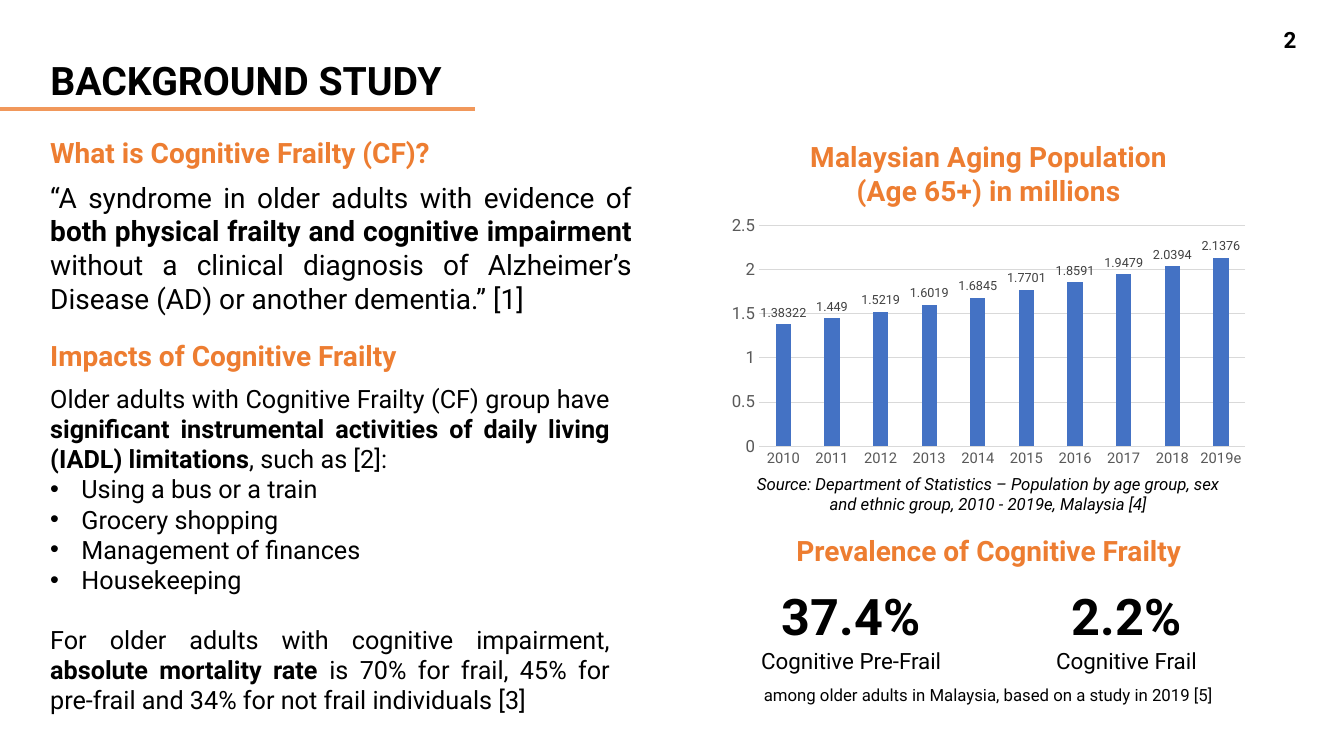
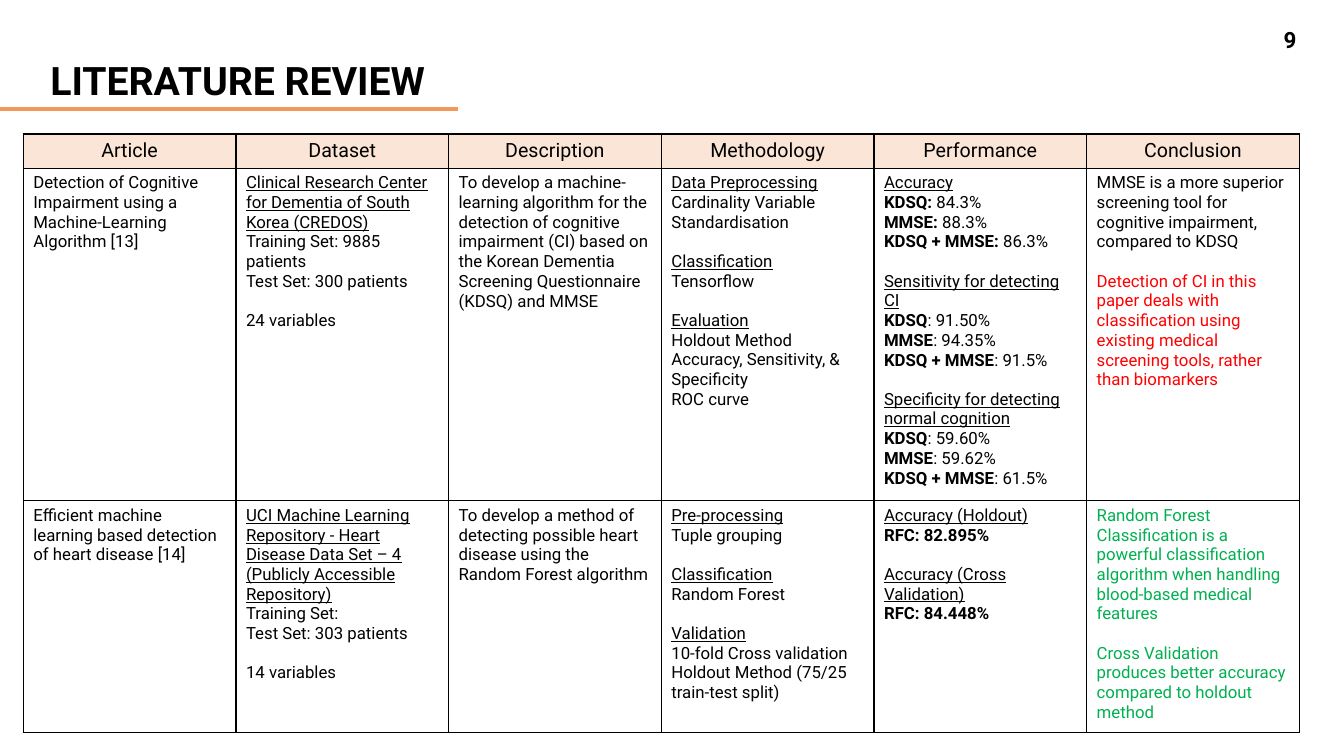
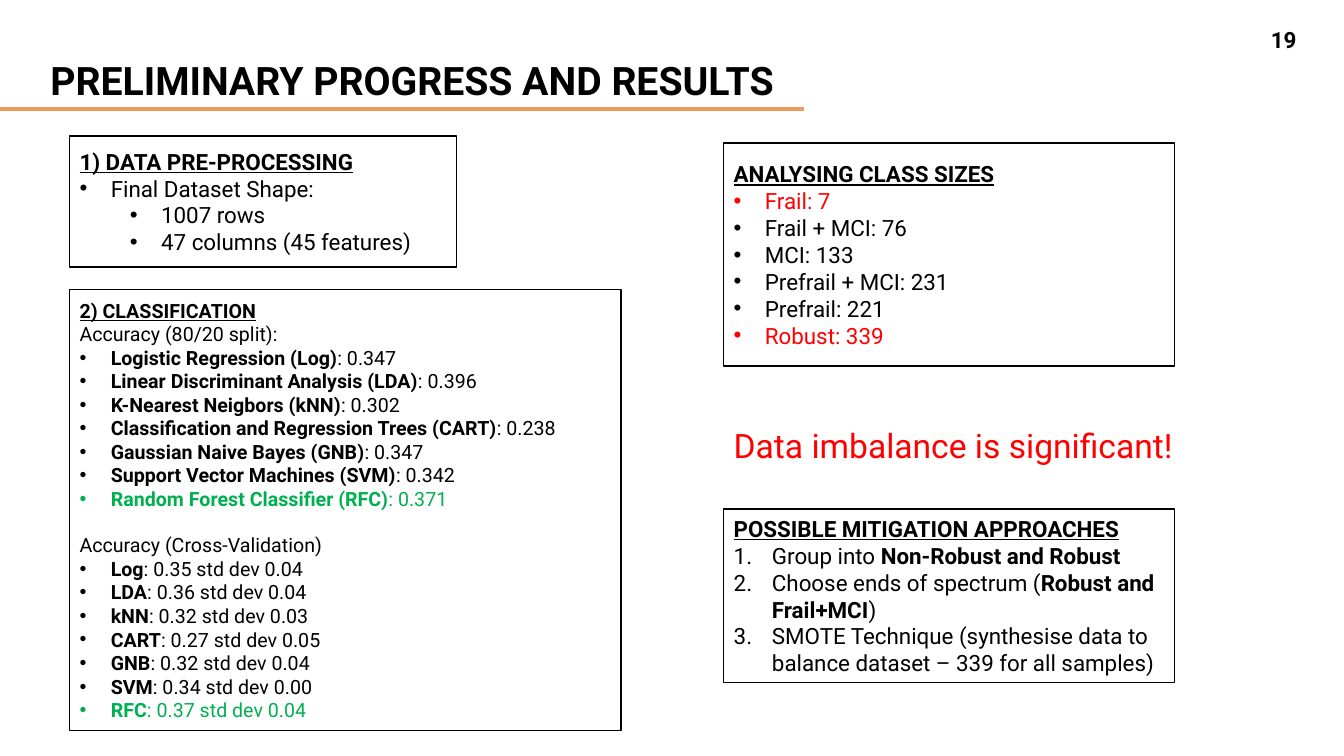
"""Build three slides of a study on cognitive frailty."""
from dataclasses import dataclass

from lxml import etree
from pptx import Presentation
from pptx import util as u
from pptx.chart import data as cd
from pptx.dml import color
from pptx.enum import chart as ch, shapes, text
from pptx.oxml import ns

WIDE, HIGH = u.Inches(13.333), u.Inches(7.5)
FACE = "Roboto"
BLACK, RED, GREEN = "000000", "FF0000", "00B050"
ORANGE, RULE, PEACH = "ED7D31", "F1985B", "FBE5D6"
BLUE, GREY, DARK, PALE = "4472C4", "595959", "404040", "D9D9D9"
LEAD = 1.17
LEFT, MID, RIGHT, JUST = (
    text.PP_ALIGN.LEFT, text.PP_ALIGN.CENTER, text.PP_ALIGN.RIGHT, text.PP_ALIGN.JUSTIFY)


@dataclass(frozen=True)
class Para:
    """A paragraph; asterisks switch bold on and off."""
    text: str
    hue: str = BLACK
    mark: str = ""
    level: int = 0
    under: bool = False
    gap: bool = False


@dataclass(frozen=True)
class Area:
    """A place given in percent of the slide's width and height."""
    x: float
    y: float
    w: float
    h: float

    def box(self) -> tuple:
        """Return left, top, width and height as lengths."""
        return across(self.x), down(self.y), across(self.w), down(self.h)


@dataclass(frozen=True)
class Label:
    """A text box with one style."""
    area: Area
    paras: list
    size: float
    align: int = LEFT
    slant: bool = False


@dataclass(frozen=True)
class Panel:
    """A framed list."""
    area: Area
    paras: list
    size: float


def across(share: float) -> int:
    """Turn a percentage of the width into a length."""
    return u.Emu(round(WIDE * share / 100))


def down(share: float) -> int:
    """Turn a percentage of the height into a length."""
    return u.Emu(round(HIGH * share / 100))


def rgb(code: str) -> color.RGBColor:
    """Turn a hex string into a colour."""
    return color.RGBColor.from_string(code)


def dot(words: str, hue: str = BLACK, level: int = 0) -> Para:
    """Make a bulleted paragraph."""
    return Para(words, hue, "•", level)


def step(words: str) -> Para:
    """Make a numbered paragraph."""
    return Para(words, mark="1.")


def head(words: str, gap: bool = False) -> Para:
    """Make an underlined paragraph."""
    return Para(words, under=True, gap=gap)


def style(font, size: float, hue: str) -> None:
    """Set face, size and colour."""
    font.name, font.size = FACE, u.Pt(size)
    font.color.rgb = rgb(hue)


def bullet(par, item: Para) -> None:
    """Give a paragraph its bullet or number and its indent."""
    props = par._p.get_or_add_pPr()
    hang = u.Inches(0.31 if item.mark == "•" else 0.38)
    props.set("marL", str(hang + item.level * u.Inches(0.5)))
    props.set("indent", str(-hang))
    if item.mark == "•":
        etree.SubElement(props, ns.qn("a:buFont")).set("typeface", "Arial")
        etree.SubElement(props, ns.qn("a:buChar")).set("char", item.mark)
    else:
        etree.SubElement(props, ns.qn("a:buAutoNum")).set("type", "arabicPeriod")


def write(frame, paras: list, size: float, align: int = LEFT, slant: bool = False) -> None:
    """Fill a text frame with paragraphs."""
    frame.word_wrap = True
    for n, item in enumerate(paras):
        par = frame.paragraphs[0] if n == 0 else frame.add_paragraph()
        par.alignment, par.level = align, item.level
        if item.gap:
            par.space_before = u.Pt(round(size * LEAD, 1))
        if item.mark:
            bullet(par, item)
        style(par.font, size, item.hue)
        if slant:
            par.font.italic = True
        if item.under:
            par.font.underline = True
        parts = [(i % 2 == 1, part) for i, part in enumerate(item.text.split("*")) if part]
        for bold, part in parts:
            run = par.add_run()
            run.text = part
            if bold:
                (par if len(parts) == 1 else run).font.bold = True


def label(slide, item: Label) -> None:
    """Draw a text box."""
    frame = slide.shapes.add_textbox(*item.area.box()).text_frame
    write(frame, item.paras, item.size, item.align, item.slant)


def panel(slide, item: Panel) -> None:
    """Draw a framed list."""
    shape = slide.shapes.add_shape(shapes.MSO_SHAPE.RECTANGLE, *item.area.box())
    shape.shadow.inherit = False
    shape.fill.background()
    shape.line.color.rgb = rgb(BLACK)
    shape.line.width = u.Pt(1)
    shape.text_frame.vertical_anchor = text.MSO_ANCHOR.MIDDLE
    write(shape.text_frame, item.paras, item.size)


def start(deck, name: str, page: str, wide: float, rule: float):
    """Add a slide with its title, rule and page number."""
    slide = deck.slides.add_slide(deck.slide_layouts[5])
    title = slide.shapes.title
    title.left, title.top, title.width, title.height = Area(3, 6.8, wide, 7.6).box()
    title.text_frame.auto_size = text.MSO_AUTO_SIZE.NONE
    title.text_frame.vertical_anchor = text.MSO_ANCHOR.TOP
    write(title.text_frame, [Para(f"*{name}*")], 28)
    line = slide.shapes.add_connector(
        shapes.MSO_CONNECTOR.STRAIGHT, 0, down(14.4), across(rule), down(14.4))
    line.line.color.rgb = rgb(RULE)
    line.line.width = u.Pt(3)
    etree.SubElement(line._element.spPr, ns.qn("a:effectLst"))
    label(slide, Label(Area(74.7, 2.8, 22.5, 5.33), [Para(f"*{page}*")], 16, RIGHT))
    return slide


def layout(node, **spots: float) -> None:
    """Fix the place of a chart part by shares of the chart."""
    for old in node.findall(ns.qn("c:layout")):
        node.remove(old)
    lay = etree.Element(ns.qn("c:layout"))
    hand = etree.SubElement(lay, ns.qn("c:manualLayout"))
    modes = {"xMode": "edge", "yMode": "edge"}
    if "w" in spots:
        modes = {"layoutTarget": "inner", **modes}
    for key, val in {**modes, **spots}.items():
        etree.SubElement(hand, ns.qn(f"c:{key}")).set("val", str(val))
    words = node.find(ns.qn("c:tx"))
    node.insert(0 if words is None else 1, lay)


def graph(slide, area: Area) -> None:
    """Draw the population chart."""
    data = cd.CategoryChartData()
    data.categories = [str(year) for year in range(2010, 2019)] + ["2019e"]
    data.add_series("Series 1", [1.38322, 1.449, 1.5219, 1.6019, 1.6845,
                                 1.7701, 1.8591, 1.9479, 2.0394, 2.1376])
    chart = slide.shapes.add_chart(
        ch.XL_CHART_TYPE.COLUMN_CLUSTERED, *area.box(), data).chart
    style(chart.font, 10, BLACK)
    chart.has_legend = False
    chart.has_title = True
    write(chart.chart_title.text_frame,
          [Para("*Malaysian Aging Population*", ORANGE),
           Para("*(Age 65+) in millions*", ORANGE)], 20, MID)
    chart.chart_title.include_in_layout = False
    layout(chart.chart_title._element, x=0.16, y=0.05)
    layout(chart._chartSpace.chart.plotArea, x=0.07, y=0.3, w=0.91, h=0.62)
    plot = chart.plots[0]
    plot.gap_width, plot.overlap = 219, -27
    plot.vary_by_categories = False
    fill = plot.series[0].format.fill
    fill.solid()
    fill.fore_color.rgb = rgb(BLUE)
    plot.has_data_labels = True
    tags = plot.data_labels
    tags.show_value = True
    tags.number_format, tags.number_format_is_linked = "General", False
    tags.position = ch.XL_LABEL_POSITION.OUTSIDE_END
    style(tags.font, 9, DARK)
    cats, vals = chart.category_axis, chart.value_axis
    for axis, size in ((cats, 10.5), (vals, 12)):
        axis.major_tick_mark = axis.minor_tick_mark = ch.XL_TICK_MARK.NONE
        style(axis.tick_labels.font, size, GREY)
    vals.minimum_scale, vals.maximum_scale, vals.major_unit = 0, 2.5, 0.5
    vals.tick_labels.number_format = "General"
    vals.tick_labels.number_format_is_linked = False
    vals.format.line.fill.background()
    for line in (cats.format.line, vals.major_gridlines.format.line):
        line.color.rgb = rgb(PALE)
        line.width = u.Pt(0.75)


def border(cell) -> None:
    """Put a thin black line on each side of a cell."""
    props = cell._tc.get_or_add_tcPr()
    for side in "LRTB":
        line = etree.SubElement(props, ns.qn(f"a:ln{side}"), w=str(u.Pt(1)))
        fill = etree.SubElement(line, ns.qn("a:solidFill"))
        etree.SubElement(fill, ns.qn("a:srgbClr"), val=BLACK)


def grid(slide, area: Area, rows: list, highs: list) -> None:
    """Draw the review table with a tinted first row."""
    count = len(rows[0])
    table = slide.shapes.add_table(len(rows), count, *area.box()).table
    for col in table.columns:
        col.width = across(area.w / count)
    for n, (row, high) in enumerate(zip(rows, highs)):
        table.rows[n].height = down(high)
        for k, paras in enumerate(row):
            cell = table.cell(n, k)
            border(cell)
            if n == 0:
                cell.fill.solid()
                cell.fill.fore_color.rgb = rgb(PEACH)
                write(cell.text_frame, paras, 14, MID)
            else:
                cell.fill.background()
                write(cell.text_frame, paras, 12)


def scores(topic: str, sep: str, vals: list, gap: bool = False) -> list:
    """List one measure for each screening tool."""
    tools = ("KDSQ", "MMSE", "KDSQ + MMSE")
    ends = ":* " if sep == "bold" else "*: "
    return [head(topic, gap)] + [Para(f"*{t}{ends}{v}%") for t, v in zip(tools, vals)]


def models(pairs: list) -> list:
    """List models with their results, the last one in green."""
    last = len(pairs) - 1
    return [dot(f"*{name}*: {val}", GREEN if n == last else BLACK)
            for n, (name, val) in enumerate(pairs)]


def study(deck) -> None:
    """Build the background slide."""
    slide = start(deck, "BACKGROUND STUDY", "2", 32.33, 35.33)
    heads = (
        (Area(3, 17.33, 76.1, 5.87), "What is Cognitive Frailty (CF)?", LEFT),
        (Area(3, 44.13, 28, 5.87), "Impacts of Cognitive Frailty", LEFT),
        (Area(58.2, 69.87, 30.75, 5.87), "Prevalence of Cognitive Frailty", MID))
    for area, words, align in heads:
        label(slide, Label(area, [Para(f"*{words}*", ORANGE)], 20, align))
    graph(slide, Area(53.7, 15.73, 39.75, 47.07))
    tasks = ("Using a bus or a train", "Grocery shopping",
             "Management of finances", "Housekeeping")
    notes = [
        Label(Area(3, 23.2, 44.78, 19.33), [Para(
            "“A syndrome in older adults with evidence of *both physical frailty and "
            "cognitive impairment* without a clinical diagnosis of Alzheimer’s Disease "
            "(AD) or another dementia.” [1]")], 20, JUST),
        Label(Area(3, 50, 43.13, 45.73), [
            Para("Older adults with Cognitive Frailty (CF) group have *significant "
                 "instrumental activities of daily living (IADL) limitations*, such as [2]:"),
            *map(dot, tasks),
            Para("For older adults with cognitive impairment, *absolute mortality rate *"
                 "is 70% for frail, 45% for pre-frail and 34% for not frail individuals [3]",
                 gap=True)], 18, JUST),
        Label(Area(54.9, 62, 37.28, 6.67), [Para(
            "Source: Department of Statistics – Population by age group, sex and ethnic "
            "group, 2010 - 2019e, Malaysia [4]")], 12, MID, True),
        Label(Area(51.15, 89.87, 44.78, 4), [Para(
            "among older adults in Malaysia, based on a study in 2019 [5]")], 12, MID)]
    wide = 20.48
    for n, (rate, group) in enumerate((("37.4%", "Pre-Frail"), ("2.2%", "Frail"))):
        x = 53.1 + n * wide
        notes += [Label(Area(x, 76.8, wide, 9.47), [Para(f"*{rate}*")], 36, MID),
                  Label(Area(x, 84.93, wide, 4.93), [Para(f"Cognitive {group}")], 16, MID)]
    for note in notes:
        label(slide, note)


def review(deck) -> None:
    """Build the literature slide."""
    slide = start(deck, "LITERATURE REVIEW", "9", 53.25, 34.05)
    names = ("Article", "Dataset", "Description", "Methodology", "Performance", "Conclusion")
    first = [
        [Para("Detection of Cognitive Impairment using a Machine-Learning Algorithm [13]")],
        [head("Clinical Research Center for Dementia of South Korea (CREDOS)"),
         Para("Training Set: 9885 patients"), Para("Test Set: 300 patients"),
         Para("24 variables", gap=True)],
        [Para("To develop a machine-learning algorithm for the detection of cognitive "
              "impairment (CI) based on the Korean Dementia Screening Questionnaire "
              "(KDSQ) and MMSE")],
        [head("Data Preprocessing"), Para("Cardinality Variable Standardisation"),
         head("Classification", True), Para("Tensorflow"),
         head("Evaluation", True), Para("Holdout Method"),
         Para("Accuracy, Sensitivity, & Specificity"), Para("ROC curve")],
        scores("Accuracy", "bold", ["84.3", "88.3", "86.3"])
        + scores("Sensitivity for detecting CI", "plain", ["91.50", "94.35", "91.5"], True)
        + scores("Specificity for detecting normal cognition", "plain",
                 ["59.60", "59.62", "61.5"], True),
        [Para("MMSE is a more superior screening tool for cognitive impairment, "
              "compared to KDSQ"),
         Para("Detection of CI in this paper deals with classification using existing "
              "medical screening tools, rather than biomarkers", RED, gap=True)]]
    second = [
        [Para("Efficient machine learning based detection of heart disease [14]")],
        [head("UCI Machine Learning"),
         head("Repository - Heart Disease Data Set – 4 (Publicly Accessible Repository)"),
         Para("Training Set:"), Para("Test Set: 303 patients"),
         Para("14 variables", gap=True)],
        [Para("To develop a method of detecting possible heart disease using the Random "
              "Forest algorithm")],
        [head("Pre-processing"), Para("Tuple grouping"),
         head("Classification", True), Para("Random Forest"),
         head("Validation", True), Para("10-fold Cross validation"),
         Para("Holdout Method (75/25 train-test split)")],
        [head("Accuracy (Holdout)"), Para("*RFC: 82.895%*"),
         head("Accuracy (Cross Validation)", True), Para("*RFC: 84.448%*")],
        [Para("Random Forest Classification is a powerful classification algorithm when "
              "handling blood-based medical features", GREEN),
         Para("Cross Validation produces better accuracy compared to holdout method",
              GREEN, gap=True)]]
    rows = [[[Para(name)] for name in names], first, second]
    grid(slide, Area(1.73, 17.73, 94.95, 79.07), rows, [4.53, 44, 30.54])


def results(deck) -> None:
    """Build the results slide."""
    slide = start(deck, "PRELIMINARY PROGRESS AND RESULTS", "19", 58.28, 59.85)
    split = [("Logistic Regression (Log)", "0.347"),
             ("Linear Discriminant Analysis (LDA)", "0.396"),
             ("K-Nearest Neigbors (kNN)", "0.302"),
             ("Classification and Regression Trees (CART)", "0.238"),
             ("Gaussian Naive Bayes (GNB)", "0.347"),
             ("Support Vector Machines (SVM)", "0.342"),
             ("Random Forest Classifier (RFC)", "0.371")]
    folds = [("Log", "0.35", "0.04"), ("LDA", "0.36", "0.04"), ("kNN", "0.32", "0.03"),
             ("CART", "0.27", "0.05"), ("GNB", "0.32", "0.04"), ("SVM", "0.34", "0.00"),
             ("RFC", "0.37", "0.04")]
    sizes = ["Frail + MCI: 76", "MCI: 133", "Prefrail + MCI: 231", "Prefrail: 221"]
    left, right, wide = 5.18, 53.85, 33.53
    panels = (
        Panel(Area(left, 18, 28.8, 17.33), [
            head("*1) DATA PRE-PROCESSING*"), dot("Final Dataset Shape:"),
            dot("1007 rows", level=1), dot("47 columns (45 features)", level=1)], 16),
        Panel(Area(left, 38.27, 41.03, 58.4), [
            head("*2) CLASSIFICATION*"), Para("Accuracy (80/20 split):"), *models(split),
            Para("Accuracy (Cross-Validation)", gap=True),
            *models([(name, f"{mean} std dev {dev}") for name, mean, dev in folds])], 14),
        Panel(Area(right, 18.93, wide, 29.47), [
            head("*ANALYSING CLASS SIZES*"), dot("Frail: 7", RED), *map(dot, sizes),
            dot("Robust: 339", RED)], 16),
        Panel(Area(right, 67.33, wide, 22.93), [
            head("*POSSIBLE MITIGATION APPROACHES*"),
            step("Group into *Non-Robust and Robust*"),
            step("Choose ends of spectrum (*Robust and Frail+MCI*)"),
            step("SMOTE Technique (synthesise data to balance dataset – 339 for all "
                 "samples)")], 16))
    for item in panels:
        panel(slide, item)
    label(slide, Label(Area(right, 55.6, 34.88, 6.67),
                       [Para("Data imbalance is significant!", RED)], 24))


def main() -> None:
    """Build and save the deck."""
    deck = Presentation()
    deck.slide_width, deck.slide_height = WIDE, HIGH
    for build in (study, review, results):
        build(deck)
    deck.save("out.pptx")


if __name__ == "__main__":
    main()
